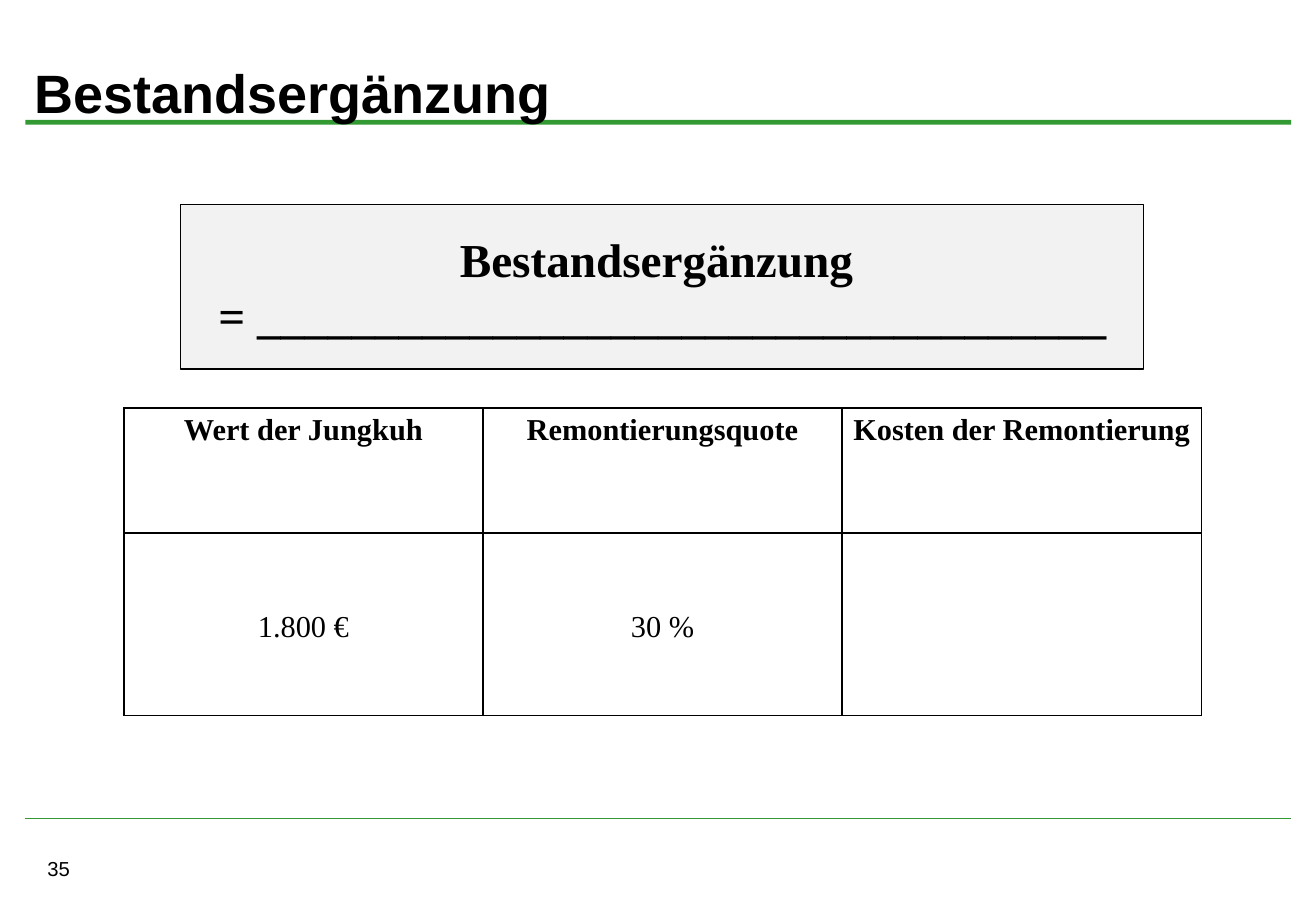
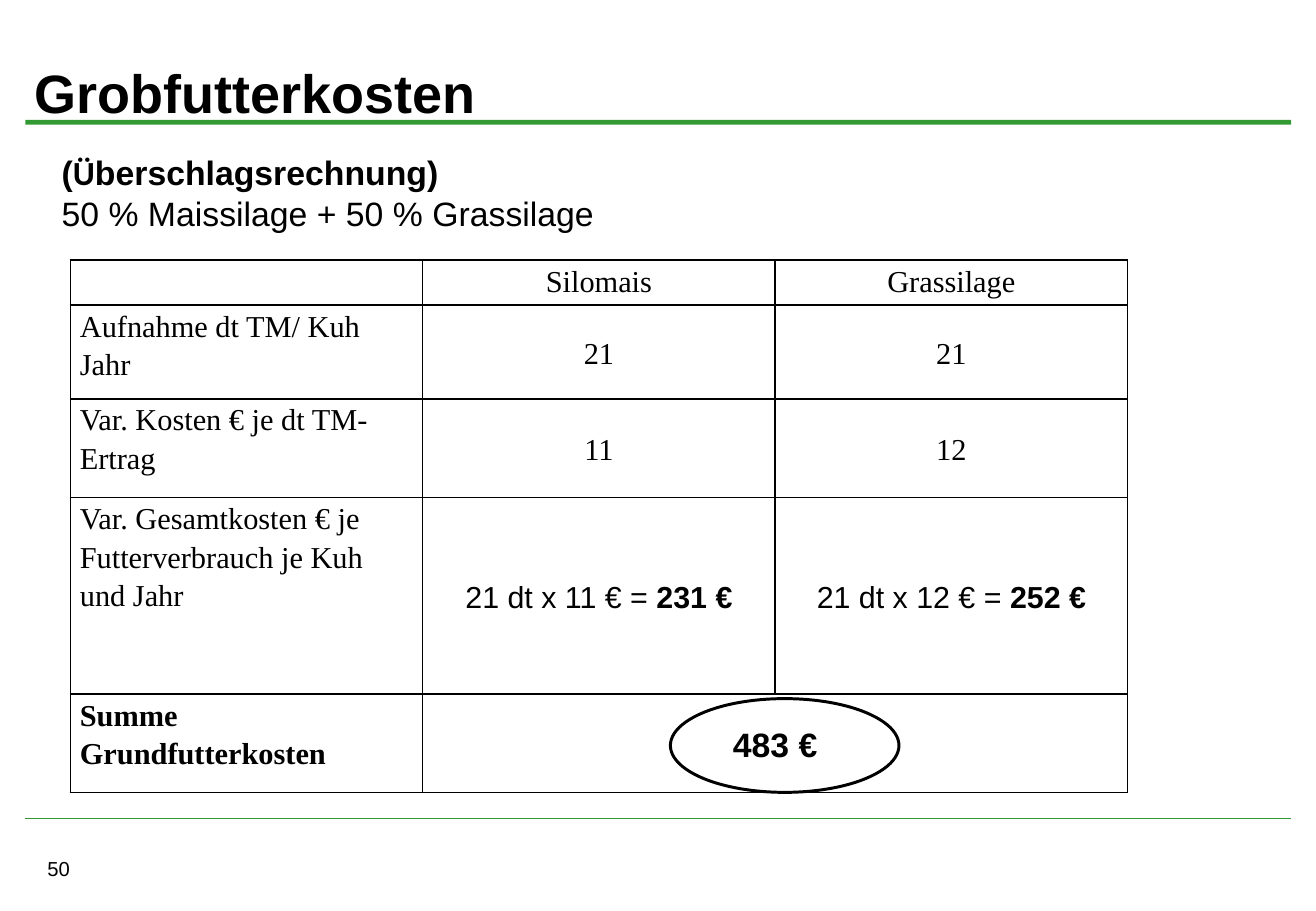
import lxml.etree
import pptx
import pptx.dml.color
import pptx.enum.shapes
import pptx.enum.text
import pptx.oxml.ns
import pptx.util

Cm = pptx.util.Cm
Pt = pptx.util.Pt
qn = pptx.oxml.ns.qn
ALIGN = pptx.enum.text.PP_ALIGN
ANCHOR = pptx.enum.text.MSO_ANCHOR
SHAPE = pptx.enum.shapes.MSO_SHAPE

SANS, SERIF = "Arial", "Times New Roman"
BLACK, GREEN, LIGHT_GREY = "000000", "339933", "F2F2F2"


def rgb(value):
    return pptx.dml.color.RGBColor.from_string(value)


def run(text, size=18, font=SERIF, bold=False):
    return text, size, font, bold


def write(frame, paragraphs, align=ALIGN.LEFT, anchor=ANCHOR.TOP, spacing=None):
    """Fill a text frame; each paragraph is a list of run() values."""
    frame.word_wrap = True
    frame.vertical_anchor = anchor
    for index, runs in enumerate(paragraphs):
        paragraph = frame.add_paragraph() if index else frame.paragraphs[0]
        paragraph.alignment = align
        paragraph.line_spacing = spacing
        for text, size, font, bold in runs:
            piece = paragraph.add_run()
            piece.text = text
            piece.font.size = Pt(size)
            piece.font.name = font
            piece.font.bold = bold
            piece.font.color.rgb = rgb(BLACK)


def add_borders(cell, width=1):
    properties = cell._tc.get_or_add_tcPr()
    for side in ("a:lnL", "a:lnR", "a:lnT", "a:lnB"):
        line = lxml.etree.SubElement(properties, qn(side), w=str(Pt(width)))
        fill = lxml.etree.SubElement(line, qn("a:solidFill"))
        lxml.etree.SubElement(fill, qn("a:srgbClr"), val=BLACK)


class Deck:
    def __init__(self):
        self.presentation = pptx.Presentation()
        self.presentation.slide_width = Cm(27.52)
        self.presentation.slide_height = Cm(19.05)
        self.slide = None

    def start_slide(self, title, number):
        """Add a slide with title, green rules and page number."""
        self.slide = self.presentation.slides.add_slide(self.presentation.slide_layouts[6])
        self.shape(SHAPE.RECTANGLE, 0.53, 2.51, 26.47, 0.1, fill=GREEN)
        self.footer_rule(0.53, 27, 17.12)
        self.text(0.74, 17.78, 6.48, 0.76, [[run(str(number), 12, SANS)]])
        self.text(0.48, 0.81, 26.54, 2.21, [[run(title, 32, SANS, True)]], anchor=ANCHOR.MIDDLE)

    def footer_rule(self, left, right, top):
        rule = self.slide.shapes.add_connector(
            pptx.enum.shapes.MSO_CONNECTOR.STRAIGHT, Cm(left), Cm(top), Cm(right), Cm(top))
        rule.line.color.rgb = rgb(GREEN)
        rule.line.width = Pt(0.75)
        lxml.etree.SubElement(rule._element.spPr, qn("a:effectLst"))

    def shape(self, preset, left, top, width, height, fill=None, line_width=None):
        shape = self.slide.shapes.add_shape(preset, Cm(left), Cm(top), Cm(width), Cm(height))
        shape.shadow.inherit = False
        if fill:
            shape.fill.solid()
            shape.fill.fore_color.rgb = rgb(fill)
        else:
            shape.fill.background()
        if line_width:
            shape.line.color.rgb = rgb(BLACK)
            shape.line.width = Pt(line_width)
        else:
            shape.line.fill.background()
        return shape

    def text(self, left, top, width, height, paragraphs, anchor=ANCHOR.TOP):
        box = self.slide.shapes.add_textbox(Cm(left), Cm(top), Cm(width), Cm(height))
        write(box.text_frame, paragraphs, anchor=anchor)

    def table(self, left, top, column_width, row_heights, rows, label_column=False):
        """Draw a grid; the header row and label column are set at the top of their cells."""
        columns = len(rows[0])
        table = self.slide.shapes.add_table(
            len(rows), columns, Cm(left), Cm(top),
            Cm(column_width * columns), Cm(sum(row_heights))).table
        table.first_row = table.horz_banding = False
        for column in table.columns:
            column.width = Cm(column_width)
        for r, (height, cells) in enumerate(zip(row_heights, rows)):
            table.rows[r].height = Cm(height)
            for c, runs in enumerate(cells):
                cell = table.cell(r, c)
                is_label = label_column and c == 0
                cell.margin_left = cell.margin_right = Cm(0.2)
                cell.margin_top = cell.margin_bottom = 0
                write(cell.text_frame, [runs], ALIGN.LEFT if is_label else ALIGN.CENTER, spacing=1.15)
                cell.vertical_anchor = ANCHOR.TOP if is_label or r == 0 else ANCHOR.MIDDLE
                add_borders(cell)
                cell.fill.background()
        return table


def replacement_slide(deck):
    deck.start_slide("Bestandsergänzung", 35)
    headings = ("Wert der Jungkuh", "Remontierungsquote", "Kosten der Remontierung")
    deck.table(2.59, 8.53, 7.51, (2.62, 3.81), [
        [[run(heading, bold=True)] for heading in headings],
        [[run("1.800 €")], [run("30 %")], []],
    ])
    formula = deck.shape(SHAPE.RECTANGLE, 3.78, 4.27, 20.14, 3.45, LIGHT_GREY, 0.75)
    lines = ("Bestandsergänzung ", "= ____________________________________")
    write(formula.text_frame, [[run(line, 28, bold=True)] for line in lines],
          ALIGN.CENTER, ANCHOR.MIDDLE)


def forage_slide(deck):
    deck.start_slide("Grobfutterkosten", 50)
    figures = (
        ("", "Silomais", "Grassilage"),
        ("Aufnahme dt TM/ Kuh Jahr", "21", "21"),
        ("Var. Kosten € je dt TM-Ertrag", "11", "12"),
    )
    rows = [[[run(text)] if text else [] for text in row] for row in figures]
    totals = (("21 dt x 11 € = ", "231 €"), ("21 dt x 12 € = ", "252 €"))
    rows.append([[run("Var. Gesamtkosten € je Futterverbrauch je Kuh und Jahr")]] + [
        [run(product, font=SANS), run(total, font=SANS, bold=True)] for product, total in totals])
    rows.append([[run("Summe Grundfutterkosten", bold=True)], [run("483 €", 20, SANS, True)], []])
    costs = deck.table(1.47, 5.44, 7.37, (0.94, 1.96, 2.06, 4.11, 2.06), rows, label_column=True)
    costs.cell(4, 1).merge(costs.cell(4, 2))

    deck.text(1.04, 3.05, 20.32, 1.96, [
        [run("(", 20, SANS, True), run("Ü", 20, "Calibri", True),
         run("berschlagsrechnung)", 20, SANS, True)],
        [run("50 % Maissilage + 50 % Grassilage", 20, SANS)],
    ], ANCHOR.MIDDLE)
    deck.shape(SHAPE.OVAL, 14.02, 14.61, 4.78, 1.96, line_width=1.75)


def main():
    deck = Deck()
    replacement_slide(deck)
    forage_slide(deck)
    deck.presentation.save("out.pptx")


if __name__ == "__main__":
    main()
